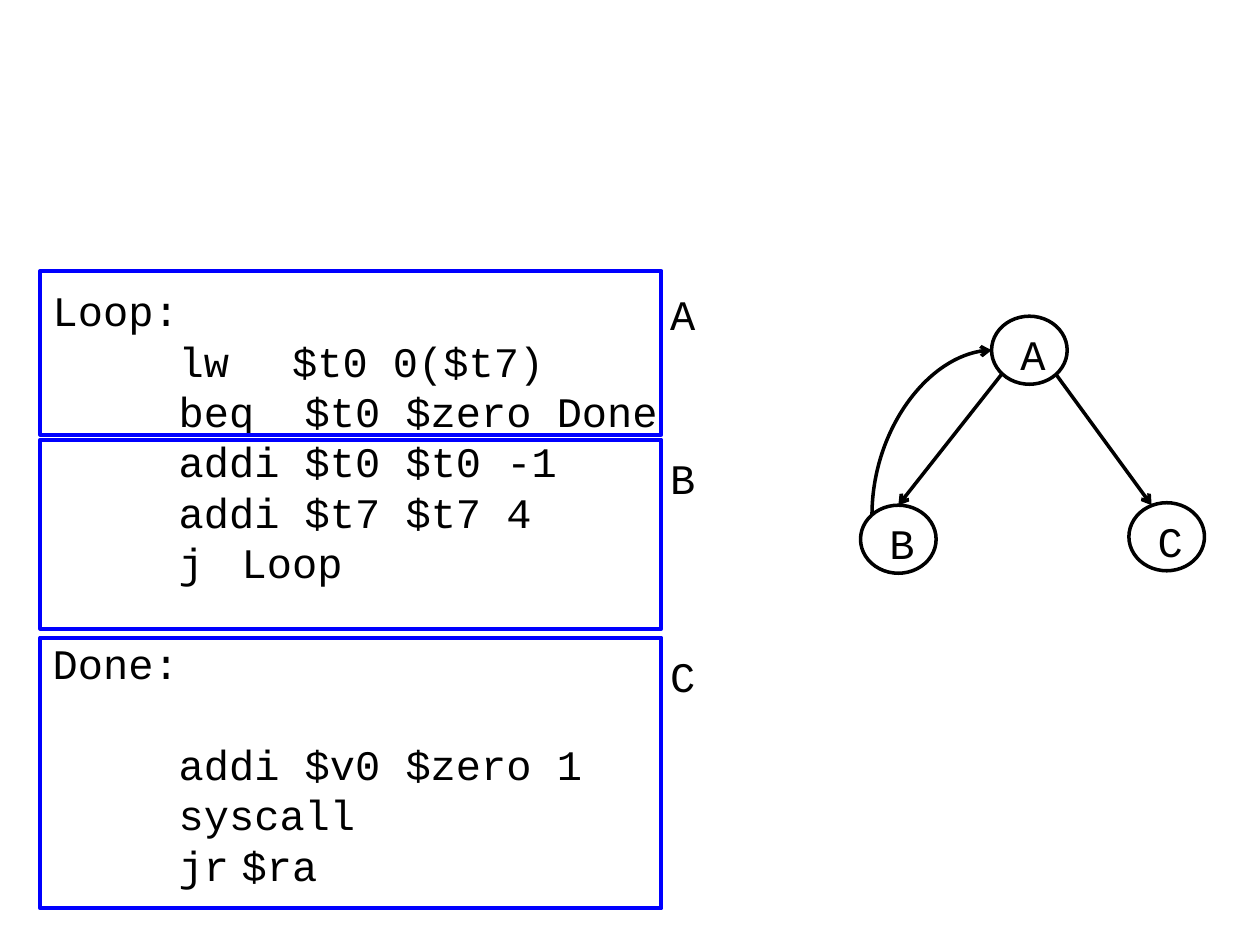
from dataclasses import dataclass

from lxml.etree import SubElement
from pptx import Presentation
from pptx.dml.color import RGBColor
from pptx.enum.shapes import MSO_CONNECTOR, MSO_SHAPE
from pptx.enum.text import MSO_ANCHOR, PP_ALIGN
from pptx.oxml.ns import qn
from pptx.util import Inches, Pt

# The slide is a grid of 100 columns by 75 rows
SLIDE_WIDTH, SLIDE_HEIGHT = Inches(10), Inches(7.5)
COLUMNS, ROWS = 100, 75
COLORS = {"ink": "000000", "block": "0000FF", "node": "FFFFFF"}
FONT = {"name": "Courier New", "size": Pt(24)}
LINE_HEIGHT = Pt(28.8)
FRAME = {
    "word_wrap": True,
    "vertical_anchor": MSO_ANCHOR.TOP,
    "margin_left": Inches(0.1),
    "margin_top": Inches(0.1),
    "margin_right": 0,
    "margin_bottom": 0,
}
BLOCK_LEFT, BLOCK_WIDTH, LABEL_LEFT = 3.2, 49.3, 52.2
NODE_WIDTH, NODE_HEIGHT, NODE_LABEL_INSET = 6, 5.4, 1.3
LABEL_WIDTH, LABEL_HEIGHT = 4.3, 5


@dataclass(frozen=True)
class CodeLine:
    text: str
    stops: tuple[float, ...] = (0.5, 1, 1.5, 2)
    blank_before: int = 0


@dataclass(frozen=True)
class Block:
    label: str
    top: float
    height: float
    label_top: float


@dataclass(frozen=True)
class Node:
    label: str
    left: float
    top: float


@dataclass(frozen=True)
class Edge:
    start: tuple[float, float]
    end: tuple[float, float]


CODE = [
    CodeLine("Loop:"),
    CodeLine("\t\tlw\t$t0 0($t7)", stops=(0.5, 1, 1.9)),
    CodeLine("\t\tbeq\t$t0 $zero Done", stops=(0.5, 1, 2)),
    CodeLine("\t\taddi $t0 $t0 -1"),
    CodeLine("\t\taddi $t7 $t7 4"),
    CodeLine("\t\tj\tLoop"),
    CodeLine("Done:", blank_before=1),
    CodeLine("\t\taddi\t$v0 $zero 1", blank_before=1),
    CodeLine("\t\tsyscall"),
    CodeLine("\t\tjr\t$ra"),
]
BLOCKS = [
    Block("A", 21.5, 13, 21.9),
    Block("B", 34.9, 15, 34.9),
    Block("C", 50.6, 21.5, 50.6),
]
NODES = [Node("B", 68.3, 40.1), Node("A", 78.7, 25.1), Node("C", 89.6, 39.9)]
BRANCHES = [Edge((79.5, 29.7), (71.3, 40.1)), Edge((83.8, 29.7), (91.4, 40.1))]
BACK_EDGE = Edge((69.2, 40.9), (78.7, 27.8))


def col(count: float) -> int:
    return round(SLIDE_WIDTH * count / COLUMNS)


def row(count: float) -> int:
    return round(SLIDE_HEIGHT * count / ROWS)


def color(key: str) -> RGBColor:
    return RGBColor.from_string(COLORS[key])


def style_line(line, key: str, width: float) -> None:
    line.color.rgb = color(key)
    line.width = Pt(width)


def add_text(shapes, left: float, top: float, width: float, height: float,
             lines: list[CodeLine]) -> None:
    frame = shapes.add_textbox(col(left), row(top), col(width), row(height)).text_frame
    for key, value in FRAME.items():
        setattr(frame, key, value)
    for index, line in enumerate(lines):
        paragraph = frame.add_paragraph() if index else frame.paragraphs[0]
        paragraph.alignment = PP_ALIGN.LEFT
        paragraph.line_spacing = LINE_HEIGHT
        paragraph.space_before = LINE_HEIGHT * line.blank_before
        if "\t" in line.text:
            properties = paragraph._p.get_or_add_pPr()
            tabs = SubElement(properties, qn("a:tabLst"))
            for stop in line.stops:
                SubElement(tabs, qn("a:tab"), pos=str(Inches(stop)), algn="l")
        run = paragraph.add_run()
        run.text = line.text
        for key, value in FONT.items():
            setattr(run.font, key, value)
        run.font.color.rgb = color("ink")


def add_label(shapes, label: str, left: float, top: float) -> None:
    add_text(shapes, left, top, LABEL_WIDTH, LABEL_HEIGHT, [CodeLine(label)])


def add_arrow(shapes, edge: Edge, kind=MSO_CONNECTOR.STRAIGHT):
    arrow = shapes.add_connector(kind, col(edge.start[0]), row(edge.start[1]),
                                 col(edge.end[0]), row(edge.end[1]))
    style_line(arrow.line, "ink", 2)
    SubElement(arrow.line._get_or_add_ln(), qn("a:tailEnd"), type="arrow")
    SubElement(arrow._element.spPr, qn("a:effectLst"))
    return arrow


def add_back_arrow(shapes, edge: Edge) -> None:
    """Quarter curve that leaves upwards and arrives from the left."""
    (x1, y1), (x2, y2) = edge.start, edge.end
    middle_x, middle_y = (x1 + x2) / 2, (y1 + y2) / 2
    # Before its quarter turn the curve has width and height swapped
    half_width, half_height = (y1 - y2) / 2, (x2 - x1) / 2
    unturned = Edge((middle_x + half_width, middle_y + half_height),
                    (middle_x - half_width, middle_y - half_height))
    properties = add_arrow(shapes, unturned, MSO_CONNECTOR.CURVE)._element.spPr
    properties.find(qn("a:xfrm")).set("rot", str(90 * 60000))
    properties.find(qn("a:prstGeom")).set("prst", "curvedConnector2")


def add_block(shapes, block: Block) -> None:
    border = shapes.add_shape(MSO_SHAPE.RECTANGLE, col(BLOCK_LEFT), row(block.top),
                              col(BLOCK_WIDTH), row(block.height))
    border.shadow.inherit = False
    border.fill.background()
    style_line(border.line, "block", 2.25)
    add_label(shapes, block.label, LABEL_LEFT, block.label_top)


def add_node(shapes, node: Node) -> None:
    members = shapes.add_group_shape().shapes
    circle = members.add_shape(MSO_SHAPE.OVAL, col(node.left), row(node.top),
                               col(NODE_WIDTH), row(NODE_HEIGHT))
    circle.shadow.inherit = False
    circle.fill.solid()
    circle.fill.fore_color.rgb = color("node")
    style_line(circle.line, "ink", 2)
    add_label(members, node.label, node.left + NODE_LABEL_INSET, node.top)


def main() -> None:
    presentation = Presentation()
    presentation.slide_width, presentation.slide_height = SLIDE_WIDTH, SLIDE_HEIGHT
    shapes = presentation.slides.add_slide(presentation.slide_layouts[6]).shapes

    # Assembly code split into basic blocks
    add_text(shapes, BLOCK_LEFT, 21.6, 56.6, 53, CODE)
    for block in BLOCKS:
        add_block(shapes, block)

    # Control flow graph
    for branch in BRANCHES:
        add_arrow(shapes, branch)
    add_back_arrow(shapes, BACK_EDGE)
    for node in NODES:
        add_node(shapes, node)

    presentation.save("out.pptx")


if __name__ == "__main__":
    main()
